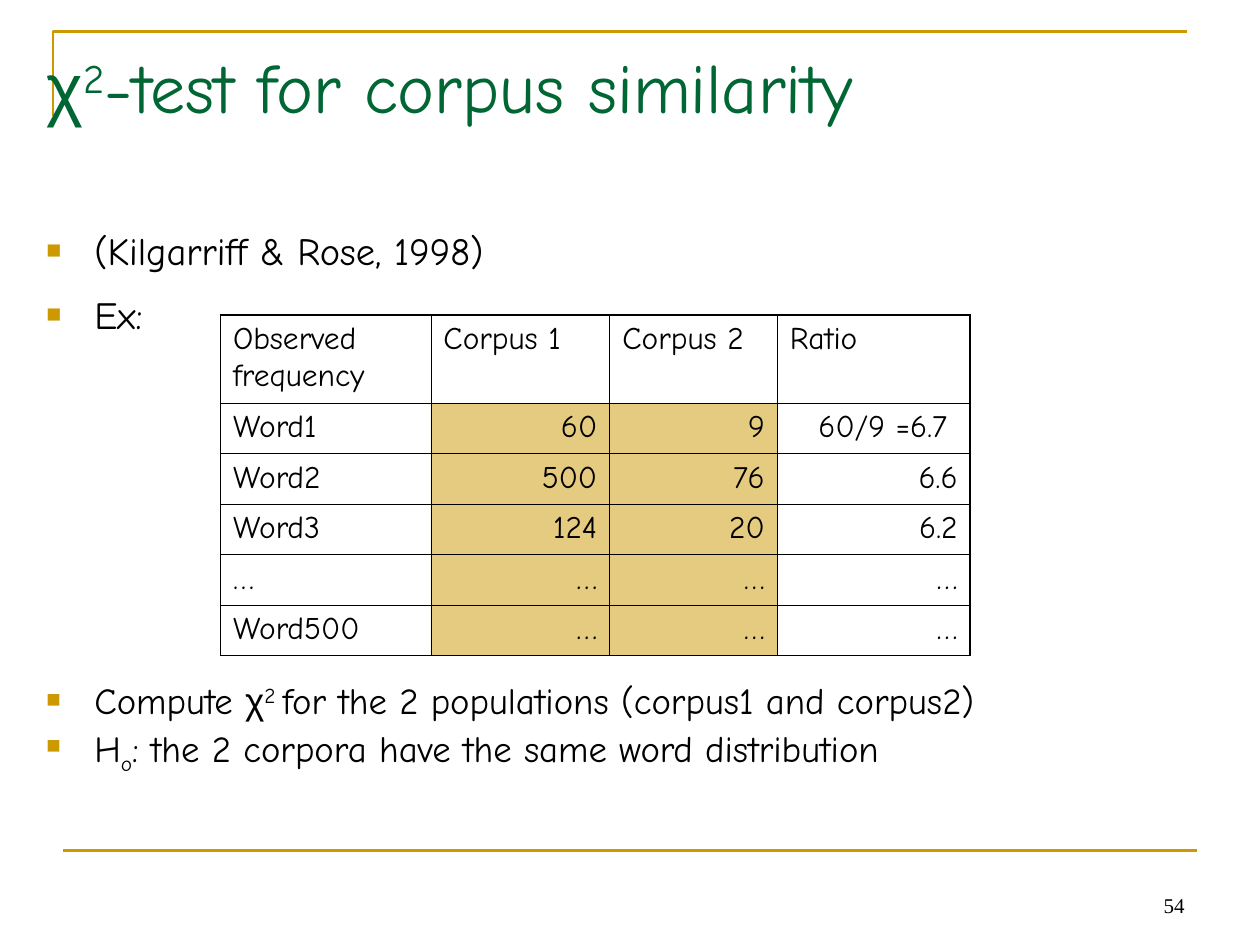
import lxml.etree
import pptx
import pptx.dml.color
import pptx.enum.shapes
import pptx.enum.text
import pptx.oxml
import pptx.oxml.ns
import pptx.util
from pptx.util import Inches

GOLD, GREEN, BLACK = "CC9900", "006633", "000000"
FONT = "Comic Neue"
qn = pptx.oxml.ns.qn


def color(hex_string):
    return pptx.dml.color.RGBColor.from_string(hex_string)


def write_runs(paragraph, runs, size, hex_string):
    """Write (text, font, baseline percent) runs in one size and colour."""
    paragraph.font.size = pptx.util.Pt(size)
    paragraph.font.color.rgb = color(hex_string)
    for text, font, baseline in runs:
        run = paragraph.add_run()
        run.text = text
        run.font.name = font
        if baseline:
            run.font._element.set("baseline", str(baseline * 1000))


presentation = pptx.Presentation()
presentation.slide_width = Inches(10)
presentation.slide_height = Inches(7.5)
slide = presentation.slides.add_slide(presentation.slide_layouts[6])

# Corner rule at the top
builder = slide.shapes.build_freeform(Inches(0.42), Inches(0.92))
builder.add_line_segments(
    [(Inches(0.42), Inches(0.25)), (Inches(9.42), Inches(0.25))], close=False)
corner = builder.convert_to_shape()
corner.shadow.inherit = False
corner.fill.background()

# Rule at the bottom
rule = slide.shapes.add_connector(
    pptx.enum.shapes.MSO_CONNECTOR.STRAIGHT,
    Inches(0.5), Inches(6.75), Inches(9.5), Inches(6.75))
lxml.etree.SubElement(rule._element.spPr, qn("a:effectLst"))
for shape in (corner, rule):
    shape.line.color.rgb = color(GOLD)
    shape.line.width = pptx.util.Pt(1.5)

# Text boxes: slide number, title, body
frames = []
for left, top, width, height in (
        (7.17, 6.83, 2.33, 0.5), (0.27, 0.3, 9.23, 1.25), (0.27, 1.75, 9.23, 4.95)):
    box = slide.shapes.add_textbox(
        Inches(left), Inches(top), Inches(width), Inches(height))
    box.text_frame.word_wrap = True
    frames.append(box.text_frame)
number, title, body = frames

number.vertical_anchor = pptx.enum.text.MSO_ANCHOR.BOTTOM
number.paragraphs[0].alignment = pptx.enum.text.PP_ALIGN.RIGHT
write_runs(number.paragraphs[0], [("54", "Times New Roman", 0)], 12, BLACK)

write_runs(title.paragraphs[0], [
    ("χ", "Arial", 0), ("2", FONT, 30),
    ("-test for corpus similarity", FONT, 0)], 40, GREEN)

# Bullets: size, space before, line spacing, runs; the third clears the table
bullets = [
    (22, 5.5, 1, [("(Kilgarriff & Rose, 1998)", FONT, 0)]),
    (22, 10.2, 1, [("Ex:", FONT, 0)]),
    (21, 194.5, 1, [
        ("Compute ", FONT, 0), ("χ", "Arial", 0), ("2 ", FONT, 30),
        ("for the 2 populations (corpus1 and corpus2)", FONT, 0)]),
    (21, 5.2, 0.8, [
        ("H", FONT, 0), ("o", FONT, -25),
        (": the 2 corpora have the same word distribution", FONT, 0)]),
]
for index, (size, space, spacing, runs) in enumerate(bullets):
    paragraph = body.add_paragraph() if index else body.paragraphs[0]
    paragraph.space_before = pptx.util.Pt(space)
    paragraph.line_spacing = spacing
    write_runs(paragraph, runs, size, BLACK)
    properties = paragraph._element.get_or_add_pPr()
    properties.set("marL", str(Inches(0.38)))
    properties.set("indent", str(-Inches(0.38)))
    bullet_color = lxml.etree.Element(qn("a:buClr"))
    lxml.etree.SubElement(bullet_color, qn("a:srgbClr"), val=GOLD)
    bullet_size = lxml.etree.Element(qn("a:buSzPct"), val="65000")
    bullet_font = lxml.etree.Element(qn("a:buFont"), typeface="Arial")
    bullet_mark = lxml.etree.Element(qn("a:buChar"), char="■")
    # Bullet settings come before the default run properties
    for element in (bullet_color, bullet_size, bullet_font, bullet_mark):
        properties.find(qn("a:defRPr")).addprevious(element)

# Frequency table
rows = [
    ("Observed frequency", "Corpus 1", "Corpus 2", "Ratio"),
    ("Word1", "60", "9", "60/9 =6.7 "),
    ("Word2", "500", "76", "6.6"),
    ("Word3", "124", "20", "6.2"),
    ("…", "…", "…", "…"),
    ("Word500", "…", "…", "…"),
]
column_widths = (1.67, 1.42, 1.33, 1.53)
last_row, last_column = len(rows) - 1, len(column_widths) - 1
table = slide.shapes.add_table(
    len(rows), len(column_widths), Inches(1.75), Inches(2.5),
    Inches(sum(column_widths)), Inches(2.7)).table
table.first_row = table.horz_banding = False
for column, width in zip(table.columns, column_widths):
    column.width = Inches(width)
for row_index, row in enumerate(rows):
    table.rows[row_index].height = Inches(0.4 if row_index else 0.7)
    for column_index, text in enumerate(row):
        cell = table.cell(row_index, column_index)
        paragraph = cell.text_frame.paragraphs[0]
        paragraph.space_before = pptx.util.Pt(4.5)
        if row_index and column_index:
            paragraph.alignment = pptx.enum.text.PP_ALIGN.RIGHT
        write_runs(paragraph, [(text, FONT, 0)], 18, BLACK)

        # Borders, heavier on the outside
        properties = cell._tc.get_or_add_tcPr()
        for tag, outer in (
                ("a:lnL", column_index == 0), ("a:lnR", column_index == last_column),
                ("a:lnT", row_index == 0), ("a:lnB", row_index == last_row)):
            width = pptx.util.Pt(1.08 if outer else 0.45)
            border = lxml.etree.SubElement(properties, qn(tag), w=str(width))
            fill = lxml.etree.SubElement(border, qn("a:solidFill"))
            lxml.etree.SubElement(fill, qn("a:srgbClr"), val=BLACK)

        # Half-transparent gold behind the counts
        if row_index and column_index in (1, 2):
            cell.fill.solid()
            cell.fill.fore_color.rgb = color(GOLD)
            shade = properties.find(qn("a:solidFill")).find(qn("a:srgbClr"))
            lxml.etree.SubElement(shade, qn("a:alpha"), val="50000")
        else:
            cell.fill.background()

presentation.save("out.pptx")
